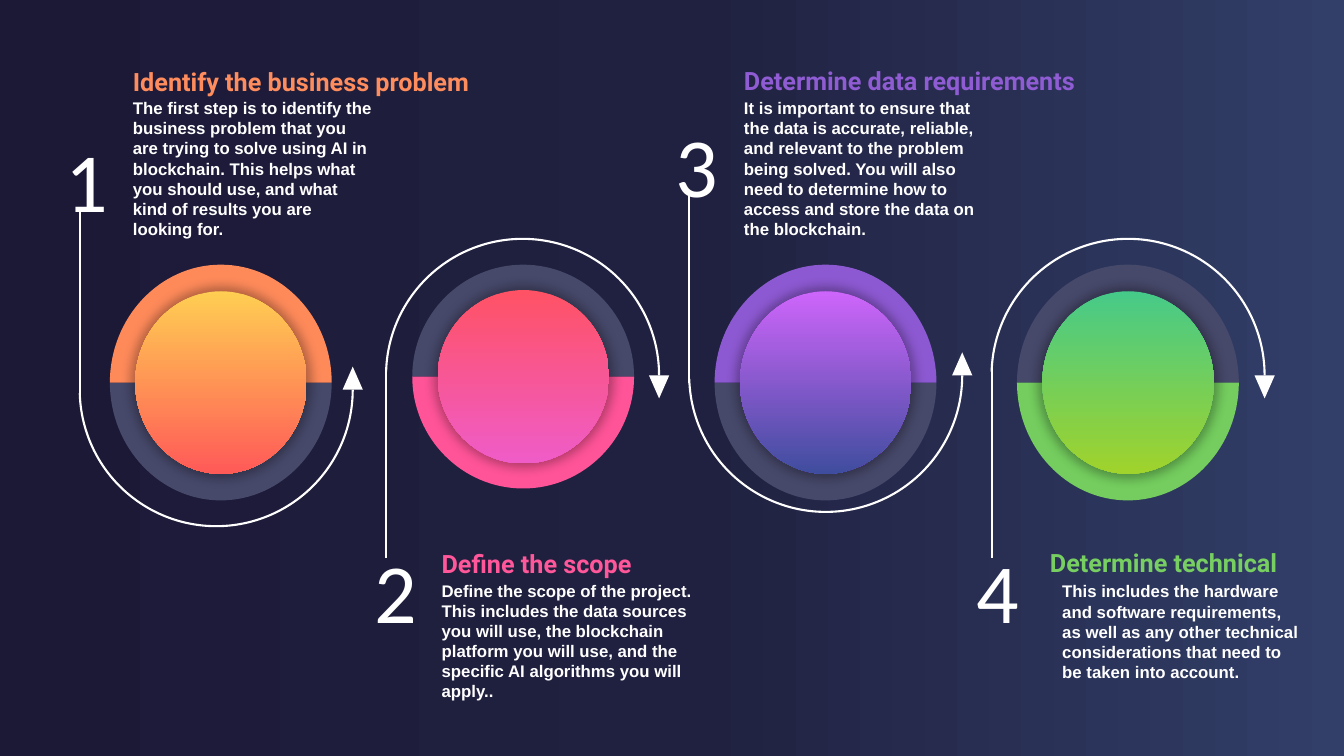
import copy

from lxml import etree
from pptx import Presentation
from pptx.dml.color import RGBColor
from pptx.enum.shapes import MSO_CONNECTOR, MSO_SHAPE
from pptx.enum.text import PP_ALIGN
from pptx.oxml.ns import qn
from pptx.util import Cm, Pt

STRAIGHT = MSO_CONNECTOR.STRAIGHT
RECTANGLE = MSO_SHAPE.RECTANGLE
OVAL = MSO_SHAPE.OVAL
ARC = MSO_SHAPE.ARC
TRIANGLE = MSO_SHAPE.ISOSCELES_TRIANGLE
LEFT = PP_ALIGN.LEFT
CENTER = PP_ALIGN.CENTER

WHITE = RGBColor(0xFF, 0xFF, 0xFF)
SLATE = RGBColor(0x47, 0x49, 0x6B)
NAVY = [RGBColor(0x32, 0x3F, 0x69), RGBColor(0x20, 0x21, 0x40), RGBColor(0x1C, 0x19, 0x36)]
ORANGE = RGBColor(0xFE, 0x8A, 0x5A)
PINK = RGBColor(0xFF, 0x54, 0x98)
PURPLE = RGBColor(0x8D, 0x59, 0xD2)
GREEN = RGBColor(0x74, 0xCD, 0x5E)
ORANGE_TITLE = RGBColor(0xFE, 0x8C, 0x5D)
PINK_TITLE = RGBColor(0xFF, 0x57, 0x9A)
PURPLE_TITLE = RGBColor(0x8F, 0x5C, 0xD3)
GREEN_TITLE = RGBColor(0x77, 0xCE, 0x61)
SUNSET = [RGBColor(0xFF, 0xCE, 0x52), RGBColor(0xFF, 0x5A, 0x58)]
ROSE = [RGBColor(0xFF, 0x52, 0x64), RGBColor(0xEF, 0x5C, 0xC8)]
VIOLET = [RGBColor(0xCE, 0x65, 0xFB), RGBColor(0x3F, 0x4D, 0x9E)]
LIME = [RGBColor(0x46, 0xCA, 0x89), RGBColor(0xA0, 0xD3, 0x2C)]

STEP_PITCH = 7.62
RING_LEFT, RING_TOP, RING_WIDTH = 2.77, 6.67, 5.59
DISC_INSET, DISC_WIDTH = 0.64, 4.32
ARC_SIZE = 6.88
ARROW_WIDTH, ARROW_HEIGHT = 0.51, 0.58
HALF_RING = [(-1, 0), (1, 0), (1, 0.55), (0.55, 1), (0, 1), (-0.55, 1), (-1, 0.55), (-1, 0)]

STEPS = [
    dict(color=ORANGE, title_color=ORANGE_TITLE, gradient=SUNSET, upper=True,
         half_height=2.97, disc=(7.34, 4.6), arc=(2.01, 6.38), number=(0.64, 3.12),
         title=("Identify the business problem", 3.1, 1.55, 9.09),
         body=("The first step is to identify the business problem that you are trying to "
               "solve using AI in blockchain. This helps what you should use, and what kind "
               "of results you are looking for.", 3.1, 2.34, 6.53, 3.84)),
    dict(color=PINK, title_color=PINK_TITLE, gradient=ROSE, upper=False,
         half_height=2.82, disc=(7.31, 4.37), arc=(9.73, 6.02), number=(8.41, 13.46),
         title=("Define the scope", 10.88, 13.69, 5.54),
         body=("Define the scope of the project. This includes the data sources you will use, "
               "the blockchain platform you will use, and the specific AI algorithms you will "
               "apply..", 10.88, 14.5, 7.29, 3.33)),
    dict(color=PURPLE, title_color=PURPLE_TITLE, gradient=VIOLET, upper=True,
         half_height=2.97, disc=(7.34, 4.6), arc=(17.37, 6.02), number=(16, 2.74),
         title=("Determine data requirements", 18.5, 1.52, 8.97),
         body=("It is important to ensure that the data is accurate, reliable, and relevant to "
               "the problem being solved. You will also need to determine how to access and "
               "store the data on the blockchain.", 18.5, 2.34, 6.53, 3.84)),
    dict(color=GREEN, title_color=GREEN_TITLE, gradient=LIME, upper=False,
         half_height=2.97, disc=(7.34, 4.6), arc=(24.99, 6.02), number=(23.59, 13.46),
         title=("Determine technical", 26.21, 13.67, 6.3),
         body=("This includes the hardware and software requirements, as well as any other "
               "technical considerations that need to be taken into account.",
               26.52, 14.52, 6.53, 2.82)),
]

presentation = Presentation()
presentation.slide_width = Cm(33.87)
presentation.slide_height = Cm(19.05)
slide = presentation.slides.add_slide(presentation.slide_layouts[6])
shapes = slide.shapes


def add_preset(preset, left, top, width, height):
    shape = shapes.add_shape(preset, Cm(left), Cm(top), Cm(width), Cm(height))
    shape.shadow.inherit = False
    shape.line.fill.background()
    return shape


def add_text(text, left, top, width, height, size, font_name, color, bold, alignment):
    box = shapes.add_textbox(Cm(left), Cm(top), Cm(width), Cm(height))
    box.text_frame.word_wrap = True
    paragraph = box.text_frame.paragraphs[0]
    paragraph.alignment = alignment
    run = paragraph.add_run()
    run.text = text
    run.font.size = Pt(size)
    run.font.name = font_name
    run.font.bold = bold
    run.font.color.rgb = color


background = add_preset(RECTANGLE, 0, 0, 33.87, 19.05)
background.fill.gradient()
background.fill.gradient_angle = 180
first_stop = background._element.spPr.find(".//" + qn("a:gs"))
first_stop.addnext(copy.deepcopy(first_stop))
for stop, position, color in zip(background.fill.gradient_stops, (0, 0.48, 1), NAVY):
    stop.position = position
    stop.color.rgb = color

for index, step in enumerate(STEPS):
    upper = step["upper"]
    direction = 1 if upper else -1
    ring_left = RING_LEFT + index * STEP_PITCH
    ring_center = ring_left + RING_WIDTH / 2
    ring_middle = RING_TOP + step["half_height"]

    for side, color in ((direction, SLATE), (-direction, step["color"])):
        points = [(Cm(ring_center + x * RING_WIDTH / 2),
                   Cm(ring_middle + side * y * step["half_height"])) for x, y in HALF_RING]
        builder = shapes.build_freeform(*points[0])
        builder.add_line_segments(points[1:], close=True)
        half_ring = builder.convert_to_shape()
        half_ring.shadow.inherit = False
        half_ring.line.fill.background()
        half_ring.fill.solid()
        half_ring.fill.fore_color.rgb = color
        segments = list(half_ring._element.spPr.iter(qn("a:lnTo")))
        for start in (1, 4):
            curve = etree.Element(qn("a:cubicBezTo"))
            segments[start].addprevious(curve)
            for segment in segments[start:start + 3]:
                curve.append(segment[0])
                segment.getparent().remove(segment)

    disc_top, disc_height = step["disc"]
    disc = add_preset(OVAL, ring_left + DISC_INSET, disc_top, DISC_WIDTH, disc_height)
    disc.fill.gradient()
    disc.fill.gradient_angle = 270
    for stop, position, color in zip(disc.fill.gradient_stops, (0, 1), step["gradient"]):
        stop.position = position
        stop.color.rgb = color
    effects = disc._element.spPr.find(qn("a:effectLst"))
    glow = etree.SubElement(effects, qn("a:outerShdw"), blurRad=str(Pt(8)), dist="0",
                            sx="105000", sy="105000", algn="ctr", rotWithShape="0")
    glow_color = etree.SubElement(glow, qn("a:srgbClr"), val="000000")
    etree.SubElement(glow_color, qn("a:alpha"), val="30000")

    arc_left, arc_top = step["arc"]
    arc_middle = arc_top + ARC_SIZE / 2
    arc = add_preset(ARC, arc_left, arc_top, ARC_SIZE, ARC_SIZE)
    arc.adjustments[0] = 0 if upper else 108.92
    arc.adjustments[1] = 107.08 if upper else 0
    arc.fill.background()
    arc.line.color.rgb = WHITE
    arc.line.width = Pt(1.5)

    arrow_top = arc_middle - ARROW_HEIGHT if upper else arc_middle
    arrow = add_preset(TRIANGLE, arc_left + ARC_SIZE - ARROW_WIDTH / 2, arrow_top,
                       ARROW_WIDTH, ARROW_HEIGHT)
    arrow.rotation = 0 if upper else 180
    arrow.fill.solid()
    arrow.fill.fore_color.rgb = WHITE

    stem_end = arc_middle + direction * 0.19
    stem = shapes.add_connector(STRAIGHT, Cm(arc_left), Cm(stem_end - direction * 4.78),
                                Cm(arc_left), Cm(stem_end))
    stem.line.color.rgb = WHITE
    stem.line.width = Pt(1.5)
    etree.SubElement(stem._element.spPr, qn("a:effectLst"))

    add_text(str(index + 1), *step["number"], 3.12, 2.82, 60, "Calibri", WHITE, False, CENTER)
    add_text(*step["title"], 1.02, 18, "Roboto", step["title_color"], True, LEFT)
    add_text(*step["body"], 12, "Arial", WHITE, True, LEFT)

presentation.save("out.pptx")
